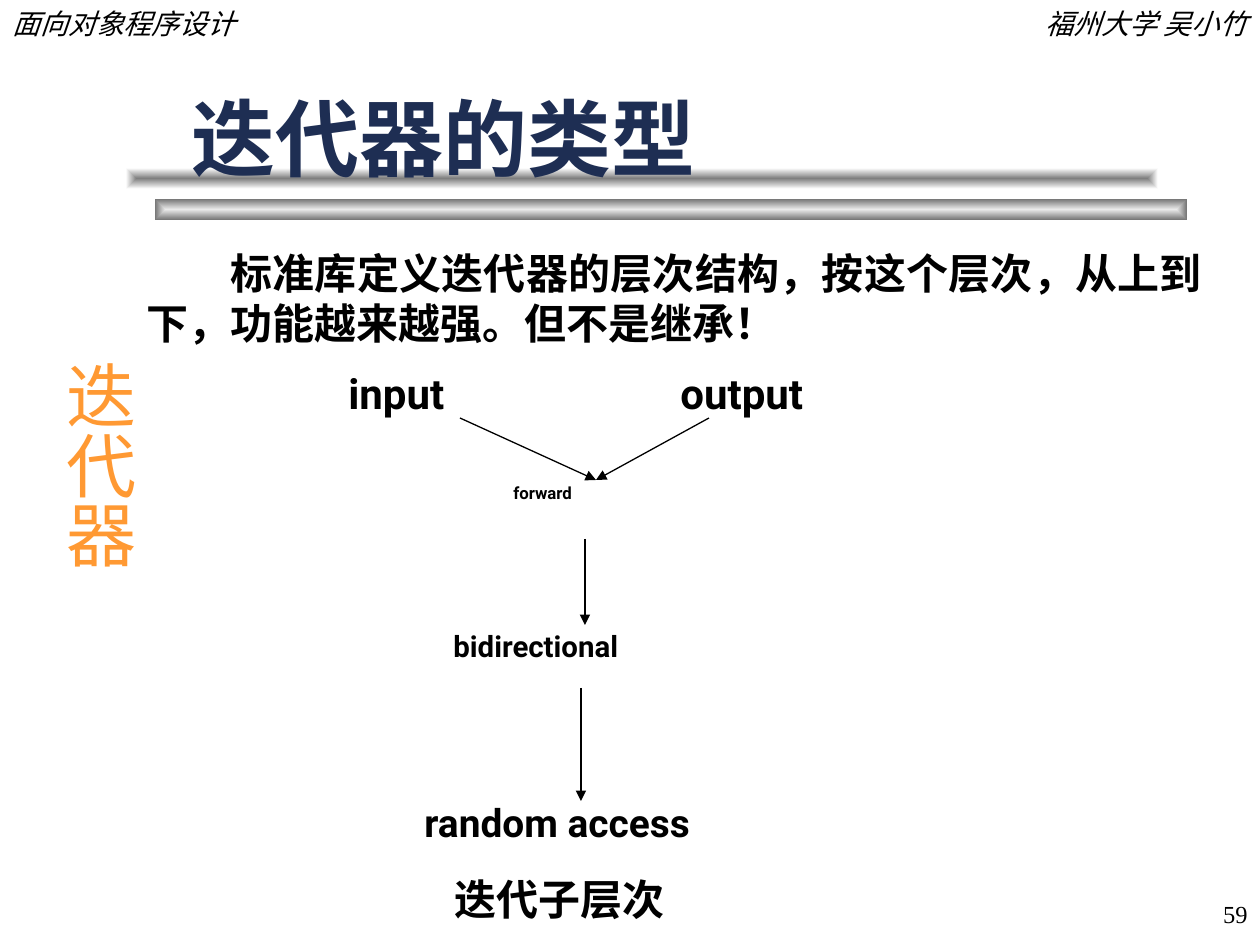
from lxml.etree import SubElement
from pptx import Presentation
from pptx.dml.color import RGBColor
from pptx.enum.shapes import MSO_CONNECTOR as CONN, MSO_SHAPE as SHAPE
from pptx.enum.text import MSO_ANCHOR as ANCHOR, PP_ALIGN as ALIGN
from pptx.oxml import parse_xml
from pptx.oxml.ns import nsdecls, qn
from pptx.util import Emu, Pt

PX = 914400 // 126
COLORS = {"ink": "000000", "title": "1E2E53", "side": "FF9933"}
SERIF, SANS, CJK = "Times New Roman", "Roboto", "Noto Sans CJK SC"

# Content: boxes are left, top, width, height in px
TITLE = ("迭代器的类型", (179, 36, 987, 158))
BARS = [
    ((155, 199, 1032, 21), "EAEAEA", "757575"),
    ((126, 168, 1032, 21), "7F7F7F", "FFFFFF"),
]
HEADERS = [
    ("面向对象程序设计", (0, 0, 388, 47), ALIGN.LEFT),
    ("福州大学 吴小竹", (872, 0, 388, 47), ALIGN.RIGHT),
]
PAGE = ("59", (998, 882, 262, 63))
BODY = ("标准库定义迭代器的层次结构，按这个层次，从上到下，功能越来越强。但不是继承！",
        (134, 241, 1081, 113))
NODES = [  # text, box, size, line spacing
    ("input", (336, 361, 166, 86), 24, 1),
    ("output", (668, 361, 236, 98), 24, 1),
    ("forward", (501, 480, 249, 35), 9.6, 0.8),
    ("bidirectional", (441, 629, 331, 49), 16.8, 0.8),
    ("random access", (412, 798, 373, 59), 22.2, 0.9),
    ("迭代子层次", (442, 867, 427, 63), 24, 1),
]
ARROWS = [
    (460, 418, 596, 480),
    (709, 418, 596, 480),
    (581, 688, 581, 801),
    (585, 539, 585, 625),
]
SIDE = ("迭代器", (37, 348, 110, 242))


def emu(values):
    return [Emu(v * PX) for v in values]


def style(p, size, font, color="ink", bold=False, italic=False):
    for r in p.runs:
        f = r.font
        f.size, f.name, f.bold, f.italic = Pt(size), font, bold, italic
        f.color.rgb = RGBColor.from_string(COLORS[color])
        SubElement(r._r.get_or_add_rPr(), qn("a:ea"), typeface=CJK)


def add_text(s, text, box, size, font, align=ALIGN.LEFT, **look):
    tf = s.shapes.add_textbox(*emu(box)).text_frame
    tf.word_wrap = True
    tf.text = text
    p = tf.paragraphs[0]
    p.alignment = align
    style(p, size, font, **look)
    return tf


def add_bar(group, box, centre, edge):
    sp = group.shapes.add_shape(SHAPE.RECTANGLE, *emu(box))
    sp.shadow.inherit = False
    sp.line.fill.background()
    sp.fill.gradient()
    for stop, color in zip(sp.fill.gradient_stops, (centre, edge)):
        stop.color.rgb = RGBColor.from_string(color)
    lin = sp._element.spPr.find(".//" + qn("a:lin"))
    lin.getparent().replace(lin, parse_xml(
        f'<a:path {nsdecls("a")} path="rect">'
        '<a:fillToRect l="50000" t="50000" r="50000" b="50000"/></a:path>'))


def add_arrow(s, ends):
    line = s.shapes.add_connector(CONN.STRAIGHT, *emu(ends))
    line.line.color.rgb = RGBColor.from_string(COLORS["ink"])
    line.line.width = Pt(0.75)
    SubElement(line.line._get_or_add_ln(), qn("a:tailEnd"), type="triangle")
    SubElement(line._element.spPr, qn("a:effectLst"))


def main():
    prs = Presentation()
    prs.slide_width, prs.slide_height = emu((1260, 945))
    s = prs.slides.add_slide(prs.slide_layouts[5])

    # Double rule, behind the title
    title = s.shapes.title
    group = s.shapes.add_group_shape()
    for bar in BARS:
        add_bar(group, *bar)
    title._element.addprevious(group._element)

    # Title
    text, box = TITLE
    title.left, title.top, title.width, title.height = emu(box)
    tf = title.text_frame
    tf.text = text
    tf.vertical_anchor = ANCHOR.BOTTOM
    tf.paragraphs[0].alignment = ALIGN.LEFT
    style(tf.paragraphs[0], 48, "Arial", "title", bold=True)

    # Running header and page number
    for text, box, align in HEADERS:
        add_text(s, text, box, 16, SERIF, align, italic=True)
    tf = add_text(s, *PAGE, 14, SERIF, ALIGN.RIGHT)
    tf.vertical_anchor = ANCHOR.MIDDLE

    # Body, first line indented by two characters
    tf = add_text(s, *BODY, 24, SERIF, ALIGN.JUSTIFY, bold=True)
    tf.paragraphs[0]._p.get_or_add_pPr().set("indent", str(Pt(48)))

    # Iterator hierarchy
    for text, box, size, spacing in NODES:
        tf = add_text(s, text, box, size, SANS, bold=True)
        tf.paragraphs[0].line_spacing = spacing
    for ends in ARROWS:
        add_arrow(s, ends)

    # Vertical side label, beside the hierarchy
    tf = add_text(s, *SIDE, 40, CJK, ALIGN.CENTER, color="side")
    tf.margin_left = tf.margin_right = Pt(3.6)
    tf.margin_top = tf.margin_bottom = Pt(7.2)
    tf._txBody.bodyPr.set("vert", "eaVert")

    prs.save("out.pptx")


if __name__ == "__main__":
    main()
